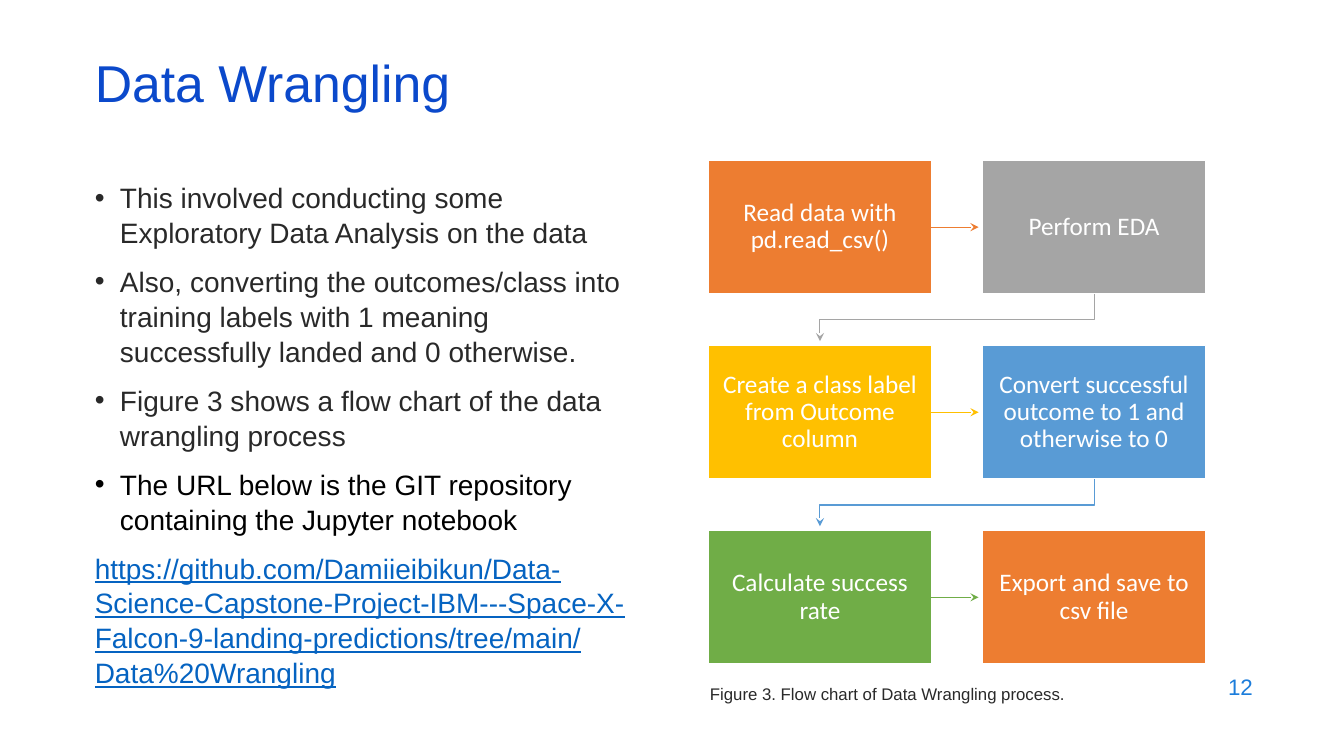
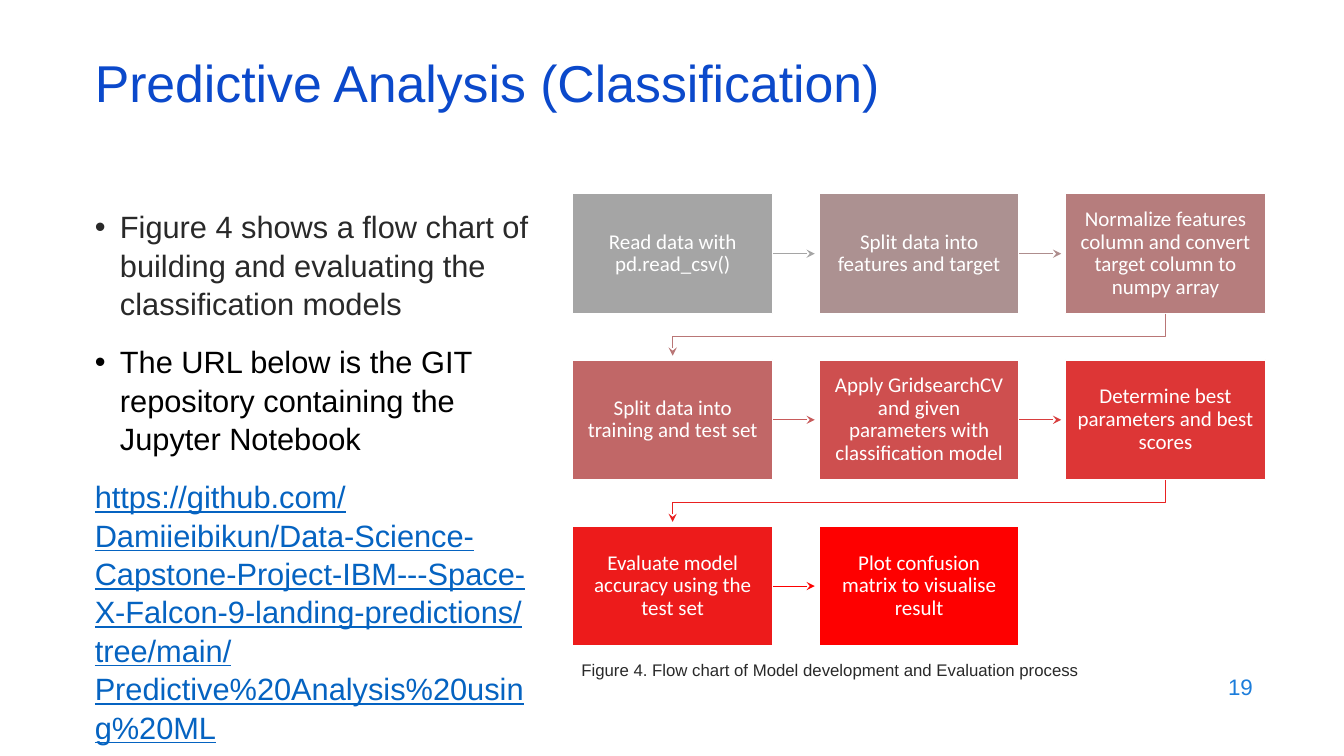
from dataclasses import dataclass

from lxml.etree import SubElement
from pptx import Presentation
from pptx.dml.color import RGBColor
from pptx.enum.shapes import MSO_CONNECTOR, MSO_SHAPE
from pptx.enum.text import MSO_ANCHOR, MSO_AUTO_SIZE, PP_ALIGN
from pptx.oxml.ns import qn
from pptx.util import Pt

# Shared style
BLUE, NUMBER_BLUE, LINK_BLUE = "0B49CB", "1C7DDB", "0563C1"
INK, BLACK, WHITE = "292929", "000000", "FFFFFF"
ORANGE, GREY, GOLD = "ED7D31", "A5A5A5", "FFC000"
SKY, GREEN, RED = "599BD5", "70AD47", "FE0000"
SANS, FLOW_FONT = "Arial", "Calibri"
LEFT = 60.5
INDENT = 18
ARROW_GAP = 3
ELBOW = 0.55
REPO = ("https://github.com/Damiieibikun/Data-Science-Capstone-Project-IBM"
        "---Space-X-Falcon-9-landing-predictions/tree/main/")


@dataclass(frozen=True)
class Box:
    x: float
    y: float
    w: float
    h: float


@dataclass(frozen=True)
class Item:
    text: str
    color: str = INK
    link: bool = False


@dataclass(frozen=True)
class Step:
    text: str
    fill: str
    arrow: str


@dataclass(frozen=True)
class Flow:
    first: Box
    dx: float
    dy: float
    cols: int
    size: float
    inset: float
    steps: list[Step]


@dataclass(frozen=True)
class Page:
    title: str
    number: str
    body: Box
    size: float
    gap: float
    items: list[Item]
    flow: Flow
    caption: str
    caption_box: Box


def rgb(color: str) -> RGBColor:
    return RGBColor.from_string(color)


def place(sp, box: Box) -> None:
    sp.left, sp.top, sp.width, sp.height = (
        Pt(v) for v in (box.x, box.y, box.w, box.h))


def style(p, size: float, color: str, font: str = SANS,
          underline: bool = False) -> None:
    for r in p.runs:
        r.font.size, r.font.name = Pt(size), font
        r.font.color.rgb = rgb(color)
        if underline:
            r.font.underline = True


def add_title(slide, text: str) -> None:
    sp = slide.shapes.title
    place(sp, Box(LEFT, 42.5, 828, 43.2))
    tf = sp.text_frame
    tf.text = text
    tf.auto_size = MSO_AUTO_SIZE.NONE
    tf.vertical_anchor = MSO_ANCHOR.MIDDLE
    p = tf.paragraphs[0]
    p.alignment, p.line_spacing = PP_ALIGN.LEFT, 0.7
    style(p, 37, BLUE)


def set_bullet(p, item: Item) -> None:
    pPr = p._p.get_or_add_pPr()
    margin = 0 if item.link else int(Pt(INDENT))
    pPr.set("marL", str(margin))
    pPr.set("indent", str(-margin))
    if item.link:
        SubElement(pPr, qn("a:buNone"))
        return
    clr = SubElement(pPr, qn("a:buClr"))
    SubElement(clr, qn("a:srgbClr")).set("val", item.color)
    SubElement(pPr, qn("a:buFont")).set("typeface", SANS)
    SubElement(pPr, qn("a:buChar")).set("char", "•")


def add_body(slide, page: Page) -> None:
    sp = slide.placeholders[1]
    place(sp, page.body)
    tf = sp.text_frame
    tf.text = "\n".join(item.text for item in page.items)
    tf.auto_size = MSO_AUTO_SIZE.NONE
    for i, (p, item) in enumerate(zip(tf.paragraphs, page.items)):
        set_bullet(p, item)
        p.space_before = Pt(page.gap if i else 0)
        p.line_spacing = 1.04
        style(p, page.size, item.color, underline=item.link)


def add_text(slide, box: Box, text: str, size: float, color: str,
             align=PP_ALIGN.LEFT, anchor=MSO_ANCHOR.TOP) -> None:
    sp = slide.shapes.add_textbox(0, 0, 0, 0)
    place(sp, box)
    tf = sp.text_frame
    tf.word_wrap = True
    tf.text = text
    tf.vertical_anchor = anchor
    tf.paragraphs[0].alignment = align
    style(tf.paragraphs[0], size, color)


def add_arrow(slide, points: list[tuple[float, float]], color: str) -> None:
    pts = [(Pt(x), Pt(y)) for x, y in points]
    if len(pts) == 2:
        sp = slide.shapes.add_connector(
            MSO_CONNECTOR.STRAIGHT, *pts[0], *pts[1])
    else:
        fb = slide.shapes.build_freeform(*pts[0], scale=1.0)
        fb.add_line_segments(pts[1:], close=False)
        sp = fb.convert_to_shape()
        sp.fill.background()
    sp.line.color.rgb = rgb(color)
    sp.line.width = Pt(0.75)
    spPr = sp._element.spPr
    SubElement(spPr.find(qn("a:ln")), qn("a:tailEnd")).set("type", "stealth")
    SubElement(spPr, qn("a:effectLst"))


def add_step(slide, box: Box, step: Step, flow: Flow) -> None:
    sp = slide.shapes.add_shape(MSO_SHAPE.RECTANGLE, 0, 0, 0, 0)
    place(sp, box)
    sp.shadow.inherit = False
    sp.fill.solid()
    sp.fill.fore_color.rgb = rgb(step.fill)
    sp.line.color.rgb = rgb(WHITE)
    sp.line.width = Pt(1)
    tf = sp.text_frame
    tf.word_wrap = True
    tf.margin_left = tf.margin_right = Pt(flow.inset)
    tf.margin_top = tf.margin_bottom = Pt(flow.inset)
    tf.vertical_anchor = MSO_ANCHOR.MIDDLE
    tf.text = step.text
    p = tf.paragraphs[0]
    p.alignment, p.line_spacing = PP_ALIGN.CENTER, 0.9
    style(p, flow.size, WHITE, FLOW_FONT)


def add_flow(slide, flow: Flow) -> None:
    w, h = flow.first.w, flow.first.h
    for i, step in enumerate(flow.steps):
        row, col = divmod(i, flow.cols)
        x = flow.first.x + col * flow.dx
        y = flow.first.y + row * flow.dy
        add_step(slide, Box(x, y, w, h), step, flow)
        if i == len(flow.steps) - 1:
            continue
        if col < flow.cols - 1:
            points = [(x + w, y + h / 2),
                      (x + flow.dx - ARROW_GAP, y + h / 2)]
        else:
            # Down and back to the first column of the next row
            start, end = x + w / 2, flow.first.x + w / 2
            bottom, tip = y + h, y + flow.dy - ARROW_GAP
            mid = bottom + ELBOW * (tip - bottom)
            points = [(start, bottom), (start, mid), (end, mid), (end, tip)]
        add_arrow(slide, points, step.arrow)


def add_page(prs, page: Page) -> None:
    slide = prs.slides.add_slide(prs.slide_layouts[1])
    add_title(slide, page.title)
    add_body(slide, page)
    add_flow(slide, page.flow)
    add_text(slide, page.caption_box, page.caption, 12, INK)
    add_text(slide, Box(686, 474.5, 216, 31.7), page.number, 16, NUMBER_BLUE,
             PP_ALIGN.RIGHT, MSO_ANCHOR.MIDDLE)


# Content
PAGES = [
    Page(
        "Data Wrangling", "12", Box(LEFT, 124.5, 394, 360), 20, 10,
        [Item("This involved conducting some Exploratory Data Analysis "
              "on the data"),
         Item("Also, converting the outcomes/class into training labels with "
              "1 meaning successfully landed and 0 otherwise."),
         Item("Figure 3 shows a flow chart of the data wrangling process"),
         Item("The URL below is the GIT repository containing the "
              "Jupyter notebook", BLACK),
         Item(REPO + "Data%20Wrangling", LINK_BLUE, True)],
        Flow(Box(506.2, 114.5, 159, 95.5), 195.8, 132.2, 2, 18, 10, [
            Step("Read data with pd.read_csv()", ORANGE, ORANGE),
            Step("Perform EDA", GREY, GREY),
            Step("Create a class label from Outcome column", GOLD, GOLD),
            Step("Convert successful outcome to 1 and otherwise to 0",
                 SKY, SKY),
            Step("Calculate success rate", GREEN, GREEN),
            Step("Export and save to csv file", ORANGE, ORANGE)]),
        "Figure 3. Flow chart of Data Wrangling process.",
        Box(500, 484.5, 372, 21.6)),
    Page(
        "Predictive Analysis (Classification)", "19",
        Box(LEFT, 144, 331, 343), 22, 14,
        [Item("Figure 4 shows a flow chart of building and evaluating the "
              "classification models"),
         Item("The URL below is the GIT repository containing the "
              "Jupyter Notebook", BLACK),
         Item(REPO + "Predictive%20Analysis%20using%20ML", LINK_BLUE, True)],
        Flow(Box(409, 138.4, 143, 85.6), 176, 118.7, 3, 15, 8.6, [
            Step("Read data with pd.read_csv()", GREY, GREY),
            Step("Split data into features and target", "AC9191", "AE8D8D"),
            Step("Normalize features column and convert target column to "
                 "numpy array", "B67D7D", "B97676"),
            Step("Split data into training and test set",
                 "C16767", "C85B5B"),
            Step("Apply GridsearchCV and given parameters with "
                 "classification model", "CE4F4F", "D83E3E"),
            Step("Determine best parameters and best scores",
                 "DD3636", "E92121"),
            Step("Evaluate model accuracy using the test set",
                 "ED1B1B", RED),
            Step("Plot confusion matrix to visualise result", RED, RED)]),
        "Figure 4. Flow chart of Model development and Evaluation process",
        Box(408.2, 468, 372, 21.6)),
]


def main() -> None:
    prs = Presentation()
    prs.slide_width, prs.slide_height = Pt(960), Pt(540)
    for page in PAGES:
        add_page(prs, page)
    prs.save("out.pptx")


if __name__ == "__main__":
    main()
